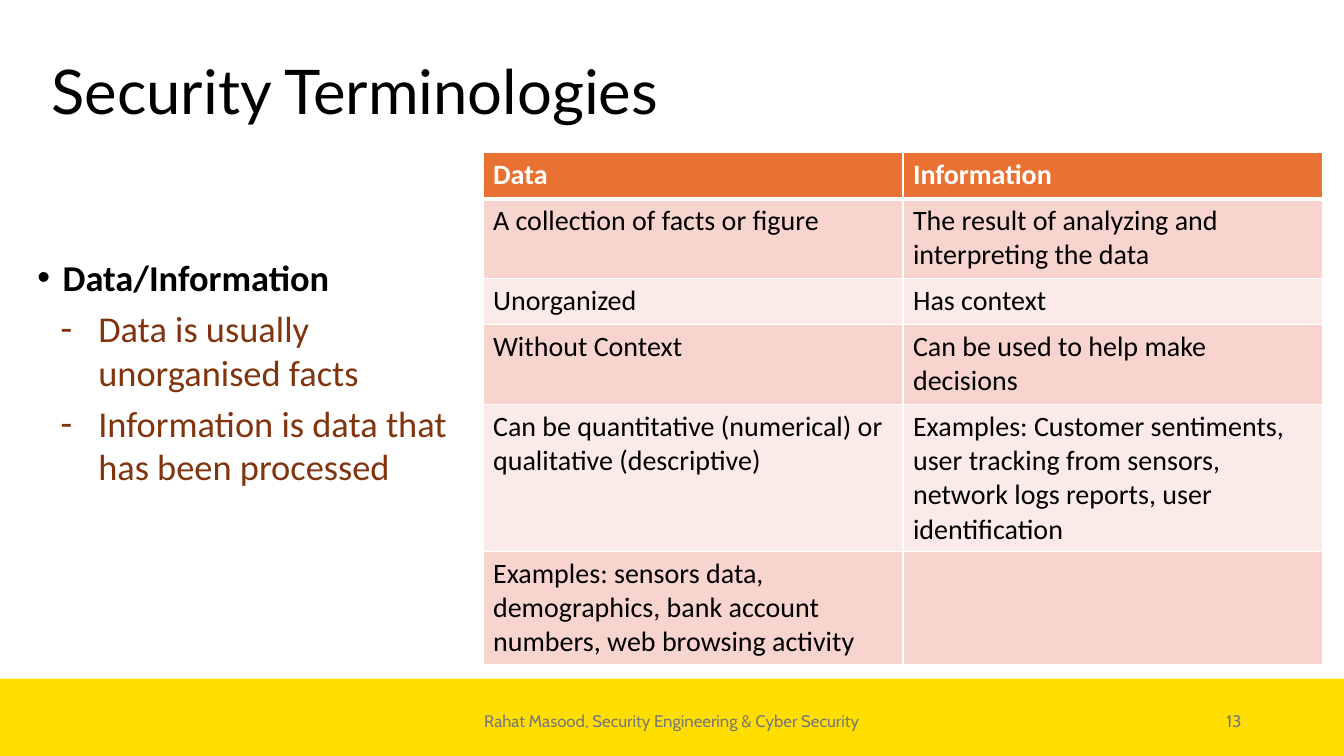
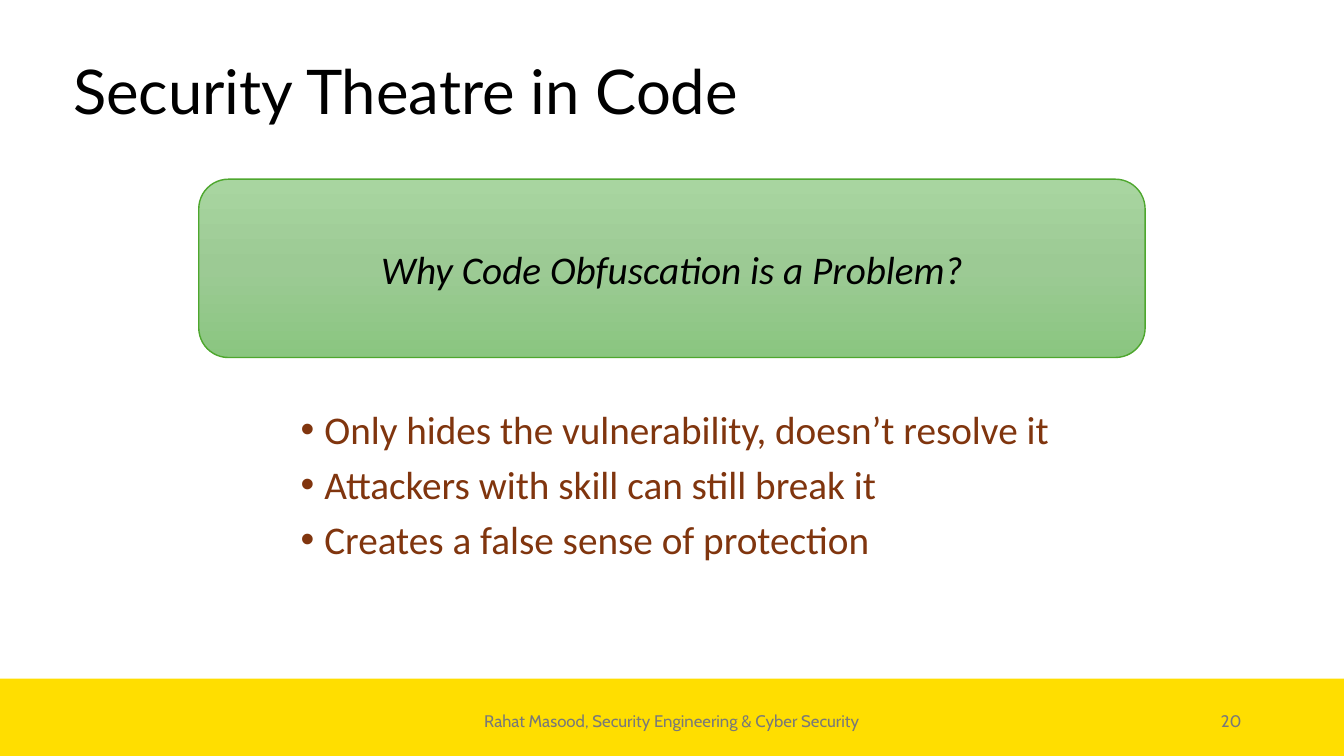
from copy import deepcopy
from dataclasses import dataclass

from lxml import etree
from pptx import Presentation
from pptx.dml.color import RGBColor
from pptx.enum.shapes import MSO_SHAPE
from pptx.enum.text import MSO_ANCHOR, MSO_AUTO_SIZE, PP_ALIGN
from pptx.oxml.ns import qn
from pptx.util import Pt

RECT, ROUNDED = MSO_SHAPE.RECTANGLE, MSO_SHAPE.ROUNDED_RECTANGLE
TOP, MIDDLE = MSO_ANCHOR.TOP, MSO_ANCHOR.MIDDLE
LEFT, CENTER, RIGHT = PP_ALIGN.LEFT, PP_ALIGN.CENTER, PP_ALIGN.RIGHT
NO_FIT = MSO_AUTO_SIZE.NONE
WIDTH, HEIGHT = 960, 540
TITLE_AND_CONTENT = 1


@dataclass(frozen=True)
class Theme:
    title_font: str = "Lato"
    body_font: str = "Calibri"
    footer_font: str = "Cabin"
    title_size: int = 44
    point_size: int = 28
    definition_size: int = 26
    table_size: int = 20
    footer_size: int = 12
    ink: str = "000000"
    paper: str = "FFFFFF"
    accent: str = "80350E"
    muted: str = "797979"
    band: str = "FFDE00"
    header: str = "E97132"
    stripes: tuple = ("F7D5CE", "FBEBE8")
    callout: tuple = ("A8D5A0", "9CCA94", "8AC680")
    callout_line: str = "4EA72E"


@dataclass(frozen=True)
class Bullet:
    """A list style: sign, text indent, hanging distance and text look."""
    sign: str
    indent: float
    hang: float
    size: int
    color: str
    bold: bool = False
    level: int = 0


def rgb(value):
    return RGBColor.from_string(value)


def box(left, top, width, height):
    return Pt(left), Pt(top), Pt(width), Pt(height)


def move(shape, area):
    shape.left, shape.top, shape.width, shape.height = area


class Deck:
    def __init__(self, theme):
        self.theme = theme
        self.prs = Presentation()
        self.prs.slide_width, self.prs.slide_height = Pt(WIDTH), Pt(HEIGHT)
        self.slide = None

    def add_text(self, paragraph, text, size, color, font=None, bold=False, italic=False):
        run = paragraph.add_run()
        run.text = text
        run.font.name = font or self.theme.body_font
        run.font.size = Pt(size)
        run.font.color.rgb = rgb(color)
        run.font.bold, run.font.italic = bold, italic

    def start(self, title, number, title_left):
        """Add a slide with its band, title and footer."""
        theme = self.theme
        self.slide = self.prs.slides.add_slide(self.prs.slide_layouts[TITLE_AND_CONTENT])
        band = self.slide.shapes.add_shape(RECT, *box(0, 484.7, WIDTH, 55.3))
        band.shadow.inherit = False
        band.fill.solid()
        band.fill.fore_color.rgb = rgb(theme.band)
        band.line.fill.background()

        heading = self.slide.shapes.title
        move(heading, box(title_left, 37.4, 835, 59.8))
        frame = heading.text_frame
        frame.auto_size, frame.vertical_anchor = NO_FIT, MIDDLE
        paragraph = frame.paragraphs[0]
        paragraph.alignment, paragraph.line_spacing = LEFT, 0.9
        self.add_text(paragraph, title, theme.title_size, theme.ink, theme.title_font)

        self.footer("Rahat Masood, Security Engineering & Cyber Security", 318, 324, CENTER)
        self.footer(str(number), 678, 216, RIGHT)

    def footer(self, text, left, width, alignment):
        frame = self.slide.shapes.add_textbox(*box(left, 500.5, width, 28.8)).text_frame
        frame.word_wrap, frame.vertical_anchor = True, MIDDLE
        paragraph = frame.paragraphs[0]
        paragraph.alignment = alignment
        theme = self.theme
        self.add_text(paragraph, text, theme.footer_size, theme.muted, theme.footer_font)

    def points(self, area, items):
        """Fill the body placeholder with (text, Bullet) pairs."""
        body = self.slide.placeholders[1]
        move(body, area)
        frame = body.text_frame
        frame.auto_size, frame.vertical_anchor = NO_FIT, TOP
        for index, (text, style) in enumerate(items):
            paragraph = frame.add_paragraph() if index else frame.paragraphs[0]
            paragraph.level = style.level
            paragraph.alignment = LEFT
            paragraph.space_before = Pt(style.size * 0.2)
            props = paragraph._p.get_or_add_pPr()
            props.set("marL", str(Pt(style.indent)))
            props.set("indent", str(-Pt(style.hang)))
            etree.SubElement(props, qn("a:buFont"), typeface="Arial")
            etree.SubElement(props, qn("a:buChar"), char=style.sign)
            self.add_text(paragraph, text, style.size, style.color, bold=style.bold)

    def border(self, cell, is_header):
        props = cell._tc.get_or_add_tcPr()
        for position, side in enumerate("LRTB"):
            weight = 3 if is_header and side == "B" else 1
            line = etree.Element(qn(f"a:ln{side}"), w=str(Pt(weight)))
            fill = etree.SubElement(line, qn("a:solidFill"))
            etree.SubElement(fill, qn("a:srgbClr"), val=self.theme.paper)
            props.insert(position, line)

    def table(self, left, top, column_width, row_heights, rows):
        theme = self.theme
        columns = len(rows[0])
        area = box(left, top, column_width * columns, sum(row_heights))
        grid = self.slide.shapes.add_table(len(rows), columns, *area).table
        for column in grid.columns:
            column.width = Pt(column_width)
        for index, (texts, height) in enumerate(zip(rows, row_heights)):
            is_header = index == 0
            grid.rows[index].height = Pt(height)
            background = theme.header if is_header else theme.stripes[(index - 1) % 2]
            color = theme.paper if is_header else theme.ink
            for cell, text in zip(grid.rows[index].cells, texts):
                cell.fill.solid()
                cell.fill.fore_color.rgb = rgb(background)
                self.border(cell, is_header)
                if text:
                    self.add_text(cell.text_frame.paragraphs[0], text,
                                  theme.table_size, color, bold=is_header)

    def callout(self, area, text):
        theme = self.theme
        panel = self.slide.shapes.add_shape(ROUNDED, *area)
        panel.shadow.inherit = False
        panel.fill.gradient()
        panel.fill.gradient_angle = 270
        stops = panel._element.spPr.find(qn("a:gradFill")).find(qn("a:gsLst"))
        stops.insert(1, deepcopy(stops[0]))
        for index, (stop, color) in enumerate(zip(panel.fill.gradient_stops, theme.callout)):
            stop.position = index / 2
            stop.color.rgb = rgb(color)
        panel.line.color.rgb = rgb(theme.callout_line)
        panel.line.width = Pt(1)
        frame = panel.text_frame
        frame.word_wrap, frame.vertical_anchor = True, MIDDLE
        paragraph = frame.paragraphs[0]
        paragraph.alignment = CENTER
        self.add_text(paragraph, text, theme.point_size, theme.ink, italic=True)


def terminologies(deck):
    theme = deck.theme
    term = Bullet("•", 22.5, 18, theme.definition_size, theme.ink, bold=True)
    meaning = Bullet("-", 48, 27, theme.definition_size, theme.accent, level=1)
    deck.start("Security Terminologies", 13, 29.5)
    deck.points(box(15, 178.7, 330, 300), [
        ("Data/Information", term),
        ("Data is usually unorganised facts", meaning),
        ("Information is data that has been processed", meaning),
    ])
    deck.table(345, 109, 300, (33, 57, 33, 57, 105, 81), [
        ("Data", "Information"),
        ("A collection of facts or figure",
         "The result of analyzing and interpreting the data"),
        ("Unorganized", "Has context"),
        ("Without Context", "Can be used to help make decisions"),
        ("Can be quantitative (numerical) or qualitative (descriptive)",
         "Examples: Customer sentiments, user tracking from sensors, "
         "network logs reports, user identification"),
        ("Examples: sensors data, demographics, bank account numbers, "
         "web browsing activity", ""),
    ])


def theatre(deck):
    theme = deck.theme
    problem = Bullet("•", 172, 17, theme.point_size, theme.accent)
    deck.start("Security Theatre in Code", 20, 45)
    deck.points(box(52.5, 286, 874, 190), [
        ("Only hides the vulnerability, doesn’t resolve it", problem),
        ("Attackers with skill can still break it", problem),
        ("Creates a false sense of protection", problem),
    ])
    deck.callout(box(142, 128, 676, 127.4), "Why Code Obfuscation is a Problem?")


def main():
    deck = Deck(Theme())
    terminologies(deck)
    theatre(deck)
    deck.prs.save("out.pptx")


if __name__ == "__main__":
    main()
